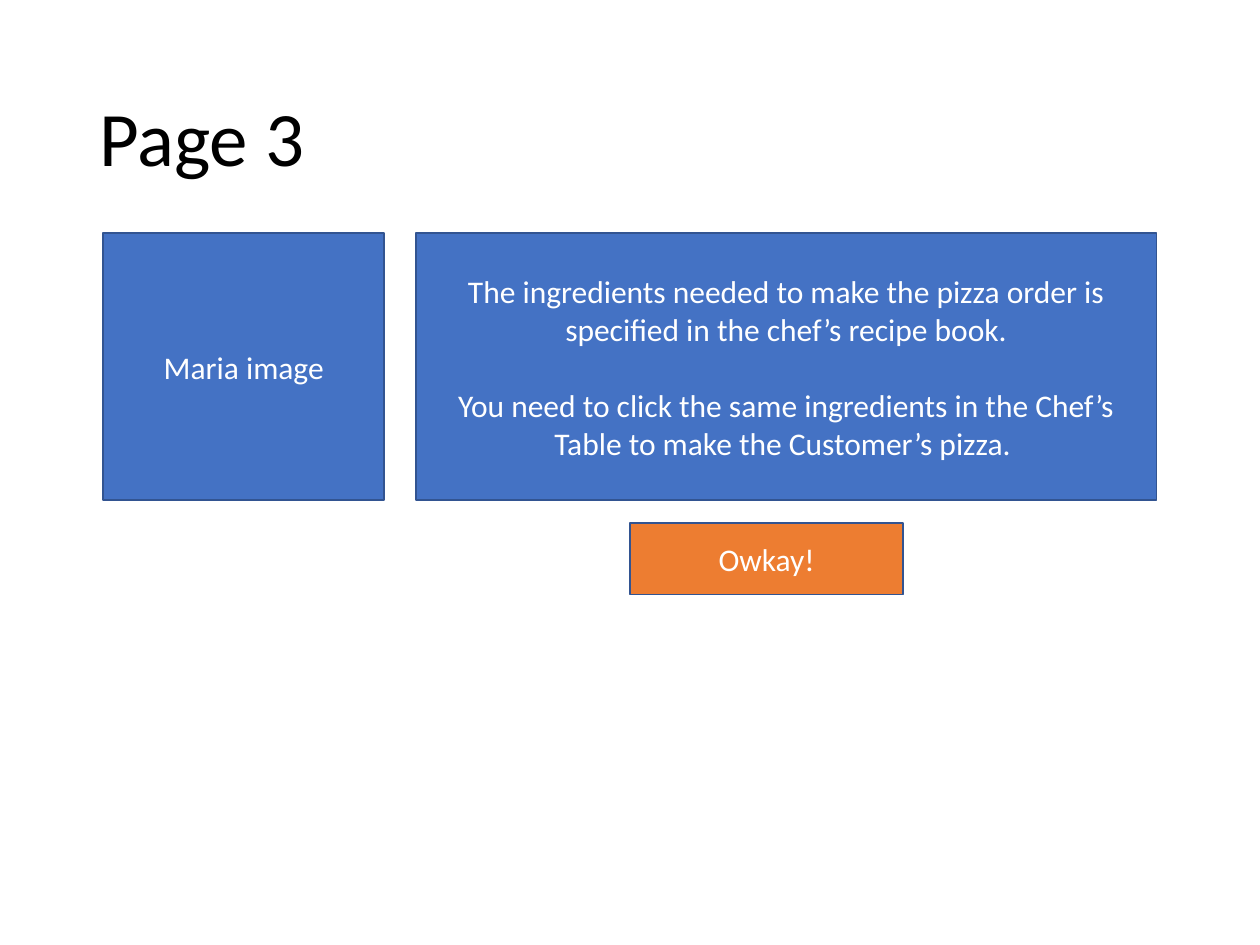
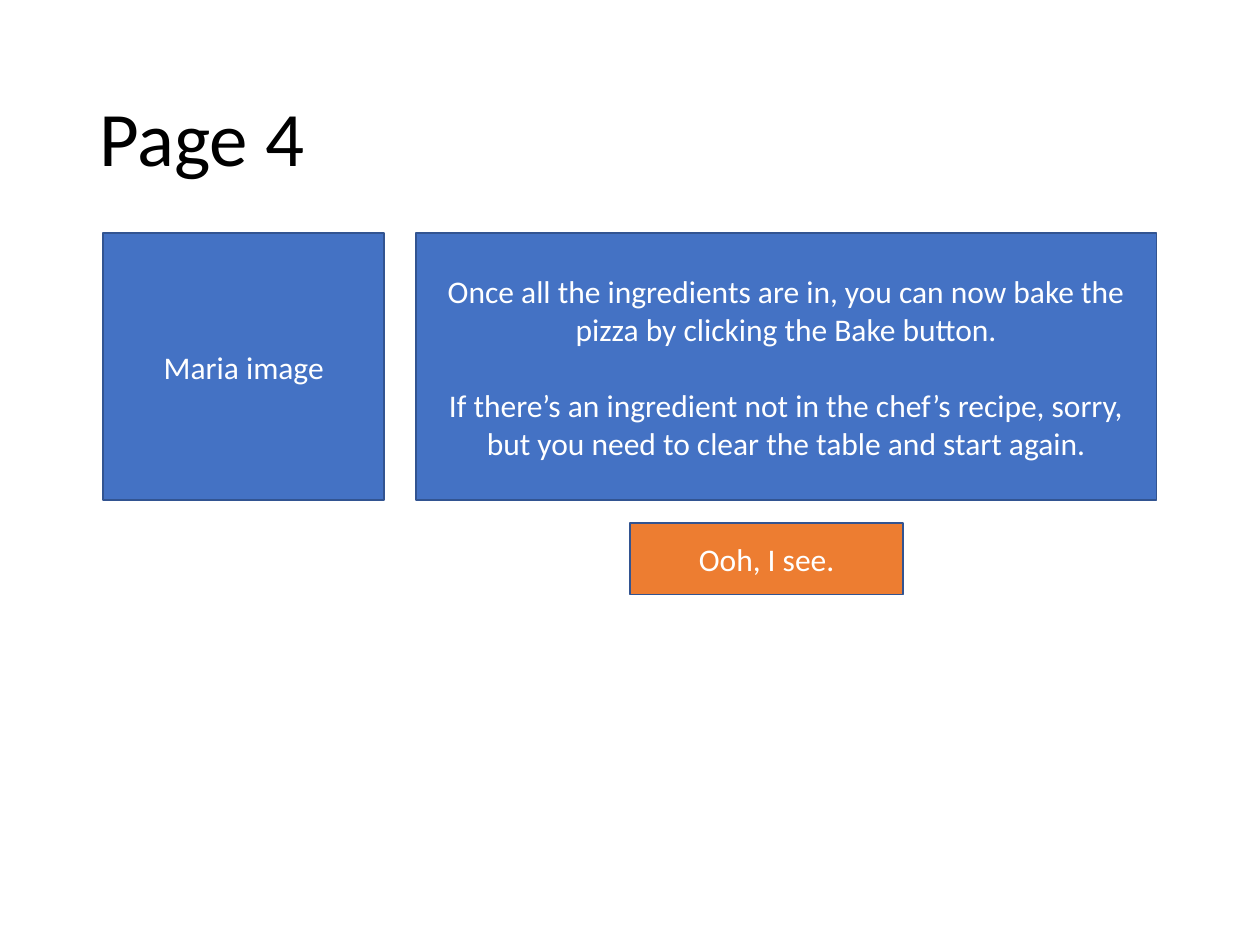
"""Build two tutorial dialogue pages of a pizza game."""
from dataclasses import dataclass

from pptx import Presentation
from pptx import util as u
from pptx.dml.color import RGBColor
from pptx.enum import shapes, text

FONT = "Calibri"
COLOURS = {
    "title": "000000",
    "panel": "4472C4",
    "button": "ED7D31",
    "outline": "325491",
    "label": "FFFFFF",
}


@dataclass(frozen=True)
class Box:
    """Position and size in inches."""

    left: float
    top: float
    width: float
    height: float

    def lengths(self) -> tuple:
        """Return the four measures as lengths."""
        return tuple(u.Inches(n) for n in (self.left, self.top, self.width, self.height))


@dataclass(frozen=True)
class Page:
    """Wording of one dialogue page."""

    title: str
    message: tuple[str, ...]
    reply: str


TITLE = Box(0.69, 0.4, 8.62, 1.45)
PORTRAIT = Box(0.82, 1.85, 2.23, 2.12)
SPEECH = Box(3.3, 1.85, 5.88, 2.12)
REPLY = Box(5, 4.15, 2.17, 0.57)

PAGES = (
    Page(
        "Page 3",
        (
            "The ingredients needed to make the pizza order is specified in the chef’s recipe book.",
            "You need to click the same ingredients in the Chef’s Table to make the Customer’s pizza. ",
        ),
        "Owkay!",
    ),
    Page(
        "Page 4",
        (
            "Once all the ingredients are in, you can now bake the pizza by clicking the Bake button.",
            "If there’s an ingredient not in the chef’s recipe, sorry, but you need to clear the table and start again.",
        ),
        "Ooh, I see.",
    ),
)


def colour(name: str) -> RGBColor:
    """Look up a named colour."""
    return RGBColor.from_string(COLOURS[name])


def write(shape, *paragraphs: str, size: float = 18, ink: str = "label",
          align=text.PP_ALIGN.CENTER, line_spacing: float = 1.0, gap: float = 22) -> None:
    """Fill a shape with vertically centred paragraphs set apart by a gap in points."""
    frame = shape.text_frame
    frame.word_wrap = True
    frame.vertical_anchor = text.MSO_ANCHOR.MIDDLE
    for index, wording in enumerate(paragraphs):
        paragraph = frame.add_paragraph() if index else frame.paragraphs[0]
        paragraph.alignment = align
        paragraph.line_spacing = line_spacing
        paragraph.space_before = u.Pt(gap if index else 0)
        run = paragraph.add_run()
        run.text = wording
        run.font.name = FONT
        run.font.size = u.Pt(size)
        run.font.color.rgb = colour(ink)


def add_panel(slide, box: Box, *paragraphs: str, fill: str = "panel") -> None:
    """Draw an outlined rectangle with centred text."""
    shape = slide.shapes.add_shape(shapes.MSO_SHAPE.RECTANGLE, *box.lengths())
    shape.shadow.inherit = False
    shape.fill.solid()
    shape.fill.fore_color.rgb = colour(fill)
    shape.line.color.rgb = colour("outline")
    shape.line.width = u.Pt(1)
    write(shape, *paragraphs)


def add_page(presentation, page: Page) -> None:
    """Add one dialogue page."""
    slide = presentation.slides.add_slide(presentation.slide_layouts[6])
    title = slide.shapes.add_textbox(*TITLE.lengths())
    write(title, page.title, size=44, ink="title", align=text.PP_ALIGN.LEFT, line_spacing=0.9)
    add_panel(slide, PORTRAIT, "Maria image")
    add_panel(slide, SPEECH, *page.message)
    add_panel(slide, REPLY, page.reply, fill="button")


def main() -> None:
    """Build and save the presentation."""
    presentation = Presentation()
    presentation.slide_width = u.Inches(10)
    presentation.slide_height = u.Inches(7.5)
    for page in PAGES:
        add_page(presentation, page)
    presentation.save("out.pptx")


main()
